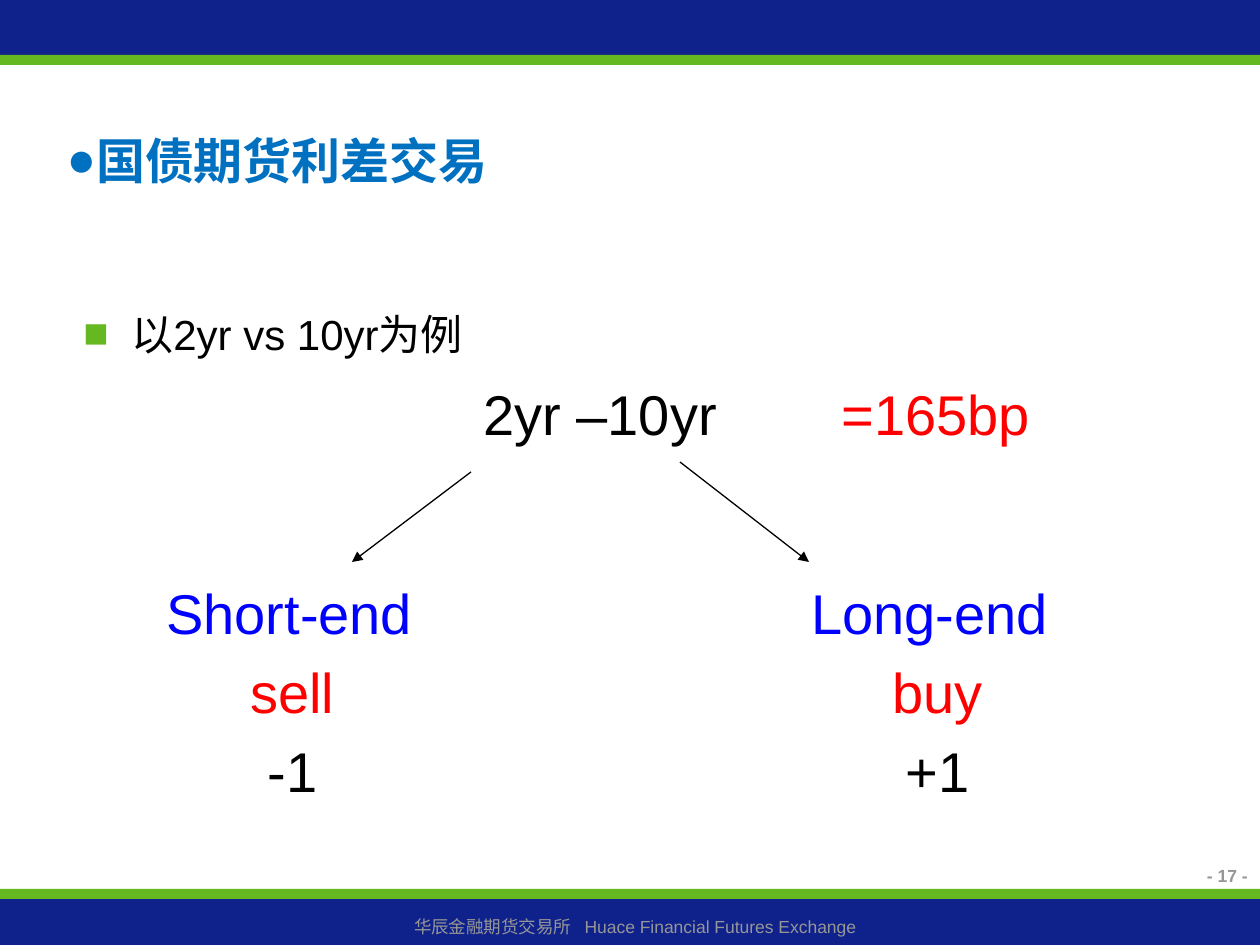
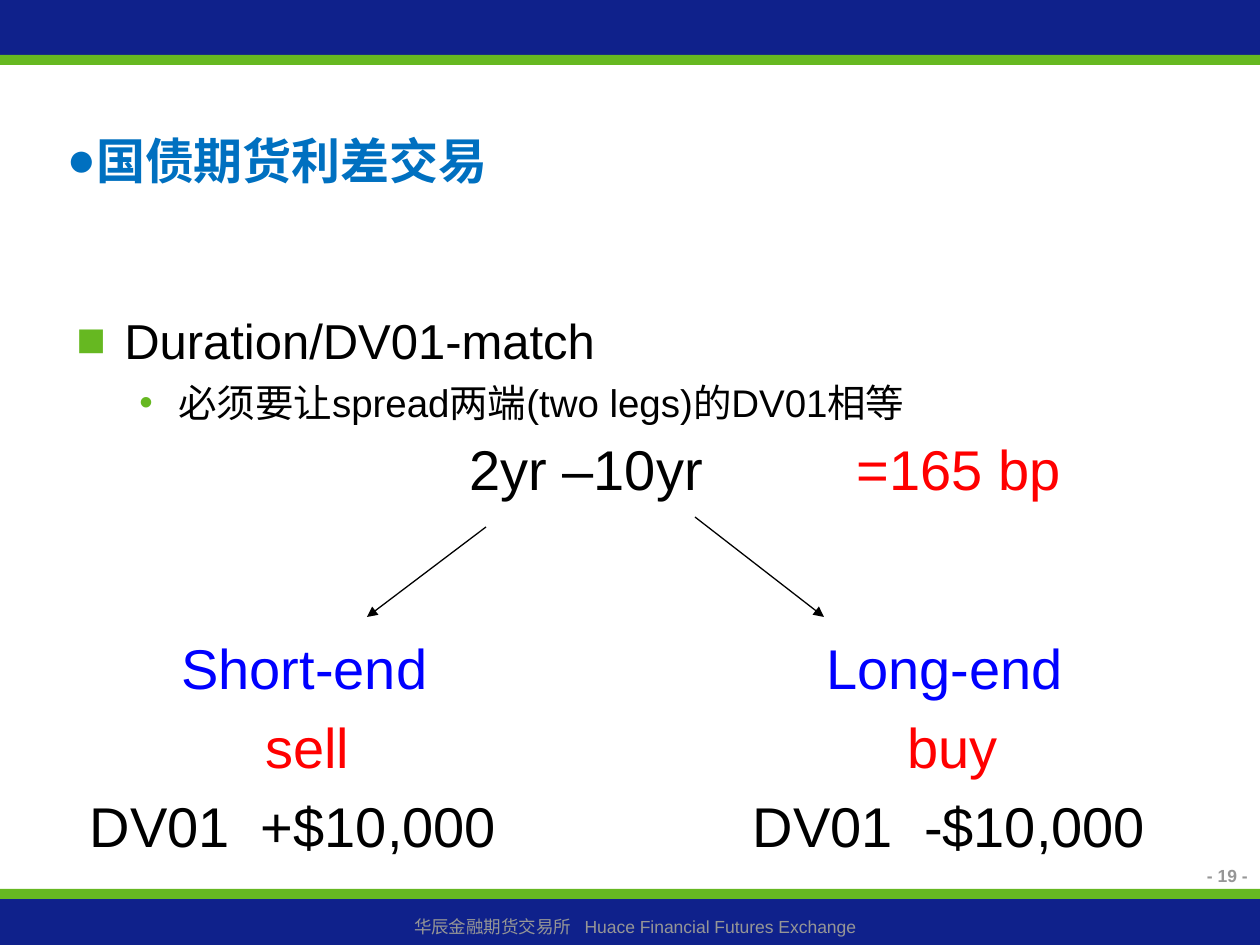
from dataclasses import dataclass

from lxml.etree import SubElement
from pptx import Presentation
from pptx.dml.color import RGBColor
from pptx.enum.shapes import MSO_CONNECTOR as LINK, MSO_SHAPE as SHAPE
from pptx.enum.text import MSO_ANCHOR as ANCHOR, MSO_AUTO_SIZE as FIT, PP_ALIGN as ALIGN
from pptx.oxml.ns import qn
from pptx.shapes.shapetree import GroupShapes, SlideShapes
from pptx.slide import Slide
from pptx.util import Emu, Pt

# Scale and shared look
DPI = 126
WIDE, HIGH = 1260, 945
FONT = "Arial"
NAVY = RGBColor(0x0F, 0x21, 0x8B)
GREEN = RGBColor(0x66, 0xB8, 0x21)
BLUE = RGBColor(0x00, 0x70, 0xC0)
PURE = RGBColor(0x00, 0x00, 0xFF)
RED = RGBColor(0xFF, 0x00, 0x00)
BLACK = RGBColor(0x00, 0x00, 0x00)
GREY = RGBColor(0x96, 0x96, 0x96)

TITLE = "国债期货利差交易"
# GAP marks a space that is drawn wider than usual
GAP = "|"
OWNER = "华辰金融期货交易所|Huace Financial Futures Exchange"
SPACE = 0.278  # width of a space in ems

Canvas = SlideShapes | GroupShapes


@dataclass(frozen=True)
class Band:
    top: int
    high: int
    color: RGBColor


@dataclass(frozen=True)
class Style:
    size: int
    color: RGBColor
    bold: bool = False
    align: ALIGN = ALIGN.LEFT
    gap: int = 2  # width of a marked gap, in spaces


@dataclass(frozen=True)
class Box:
    left: int
    top: int
    wide: int
    high: int


@dataclass(frozen=True)
class Point:
    text: str
    size: int
    mark: str
    level: int
    margin: int
    hang: int
    before: float


@dataclass(frozen=True)
class Leg:
    name: str
    deal: str
    size: str
    size_left: int


@dataclass(frozen=True)
class Page:
    number: int
    body: Box
    points: tuple[Point, ...]
    left: int
    top: int
    pair: Box
    spread: str
    legs: tuple[Leg, Leg]
    size_wide: int


BANDS = (
    Band(0, 55, NAVY),
    Band(889, 10, GREEN),
    Band(55, 10, GREEN),
    Band(899, 46, NAVY),
)
FOOT = Style(10, GREY, align=ALIGN.CENTER, gap=3)
COUNT = Style(10, GREY, True, ALIGN.RIGHT)
HEAD = Style(28, BLUE, True)

# Spread diagram, measured from its top left corner
ROW, LINE = 79, 81
LEG_TOP, LEG_STEP, LEG_WIDE = 199, 645, 277
ARROWS = (((317, 99), (198, 189)), ((526, 89), (655, 189)))

PAGES = (
    Page(
        17, Box(71, 302, 1111, 524),
        (Point("以2yr vs 10yr为例", 24, "■", 0, 48, 48, 6),),
        154, 373, Box(471, 373, 278, LINE), "=165bp",
        (Leg("Short-end", "sell", "-1", 154), Leg("Long-end", "buy", "+1", 799)),
        LEG_WIDE,
    ),
    Page(
        19, Box(64, 304, 1134, 486),
        (
            Point("Duration/DV01-match", 28, "■", 0, 48, 48, 7),
            Point("必须要让spread两端(two legs)的DV01相等", 22, "•", 1, 102, 39, 5.5),
        ),
        169, 428, Box(457, 428, 287, LINE), "=165 bp",
        (
            Leg("Short-end", "sell", "DV01|+$10,000", 60),
            Leg("Long-end", "buy", "DV01|-$10,000", 716),
        ),
        466,
    ),
)


def px(length: int) -> Emu:
    return Emu(round(length * 914400 / DPI))


def place(box: Box) -> tuple[Emu, Emu, Emu, Emu]:
    return px(box.left), px(box.top), px(box.wide), px(box.high)


def write(par, text: str, style: Style) -> None:
    """Fill a paragraph, widening the space at each marked gap."""
    par.alignment = style.align
    for part, word in enumerate(text.split(GAP)):
        if part:
            blank = par.add_run()
            blank.text = " "
            extra = (style.gap - 1) * SPACE * style.size * 100
            blank.font._element.set("spc", str(round(extra)))
        par.add_run().text = word
    for run in par.runs:
        font = run.font
        font.name, font.size, font.bold = FONT, Pt(style.size), style.bold
        font.color.rgb = style.color


def mark(par, char: str, color: RGBColor, margin: int = 0, hang: int = 0) -> None:
    """Give a paragraph a coloured bullet."""
    props = par._p.get_or_add_pPr()
    props.set("marL", str(px(margin)))
    props.set("indent", str(-px(hang)))
    SubElement(SubElement(props, qn("a:buClr")), qn("a:srgbClr"), val=str(color))
    SubElement(props, qn("a:buFont"), typeface=FONT)
    SubElement(props, qn("a:buChar"), char=char)


def add_text(canvas: Canvas, box: Box, text: str, style: Style) -> None:
    frame = canvas.add_textbox(*place(box)).text_frame
    frame.word_wrap = True
    write(frame.paragraphs[0], text, style)


def add_arrow(canvas: Canvas, start: tuple[int, int], end: tuple[int, int]) -> None:
    ends = [px(value) for value in (*start, *end)]
    arrow = canvas.add_connector(LINK.STRAIGHT, *ends)
    arrow.line.color.rgb = BLACK
    arrow.line.width = Pt(0.75)
    SubElement(arrow.line._get_or_add_ln(), qn("a:tailEnd"), type="triangle")
    SubElement(arrow._element.spPr, qn("a:effectLst"))


def add_frame(slide: Slide, number: int) -> None:
    """Draw bands, footer, title and page number."""
    for band in BANDS:
        bar = slide.shapes.add_shape(
            SHAPE.RECTANGLE, *place(Box(0, band.top, WIDE, band.high)))
        bar.shadow.inherit = False
        bar.fill.solid()
        bar.fill.fore_color.rgb = band.color
        bar.line.fill.background()
    add_text(slide.shapes, Box(10, 910, 1250, 34), OWNER, FOOT)
    add_text(slide.shapes, Box(1012, 859, 248, 45), f"- {number} -", COUNT)

    title = slide.shapes.title
    title.left, title.top, title.width, title.height = place(Box(54, 115, 873, 89))
    frame = title.text_frame
    frame.auto_size = FIT.NONE
    frame.vertical_anchor = ANCHOR.MIDDLE
    write(frame.paragraphs[0], TITLE, HEAD)
    mark(frame.paragraphs[0], "●", BLUE)


def add_points(slide: Slide, box: Box, points: tuple[Point, ...]) -> None:
    frame = slide.shapes.add_textbox(*place(box)).text_frame
    frame.word_wrap = True
    for index, point in enumerate(points):
        par = frame.add_paragraph() if index else frame.paragraphs[0]
        par.level = point.level
        par.space_before = Pt(point.before)
        write(par, point.text, Style(point.size, BLACK))
        mark(par, point.mark, GREEN, point.margin, point.hang)


def add_spread(slide: Slide, page: Page) -> None:
    """Draw the pair, its spread, and the two legs below."""
    canvas = slide.shapes.add_group_shape().shapes
    left, top = page.left, page.top
    add_text(canvas, page.pair, "2yr –10yr", Style(32, BLACK))
    add_text(canvas, Box(left + 675, top, 268, LINE), page.spread, Style(32, RED))
    for start, end in ARROWS:
        add_arrow(canvas, (left + start[0], top + start[1]),
                  (left + end[0], top + end[1]))
    for side, leg in enumerate(page.legs):
        leg_left = left + side * LEG_STEP
        rows = (
            (leg.name, leg_left, LEG_WIDE, Style(32, PURE)),
            (leg.deal, leg_left, LEG_WIDE, Style(32, RED, align=ALIGN.CENTER)),
            (leg.size, leg.size_left, page.size_wide,
             Style(32, BLACK, align=ALIGN.CENTER)),
        )
        for row, (text, start, wide, style) in enumerate(rows):
            box = Box(start, top + LEG_TOP + row * ROW, wide, LINE)
            add_text(canvas, box, text, style)


def main() -> None:
    deck = Presentation()
    deck.slide_width, deck.slide_height = px(WIDE), px(HIGH)
    layout = deck.slide_layouts.get_by_name("Title Only")
    for page in PAGES:
        slide = deck.slides.add_slide(layout)
        add_frame(slide, page.number)
        add_points(slide, page.body, page.points)
        add_spread(slide, page)
    deck.save("out.pptx")


if __name__ == "__main__":
    main()
